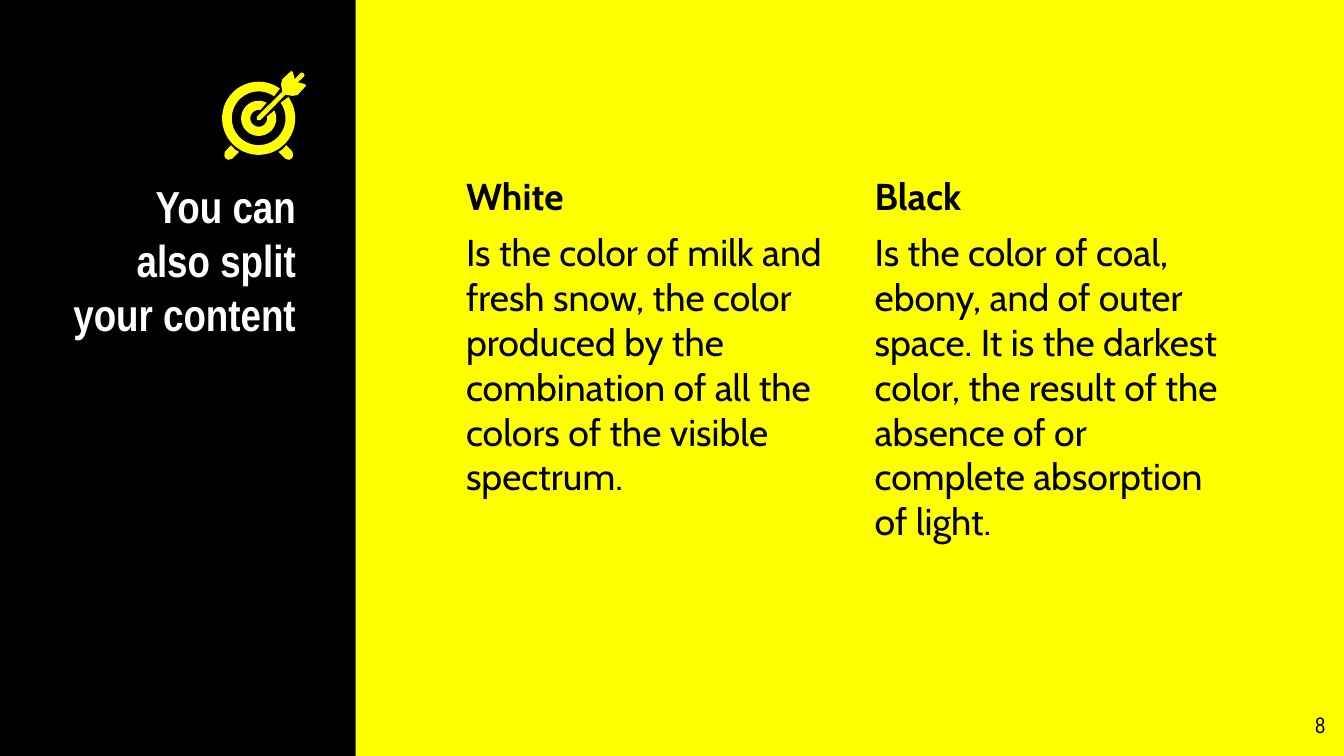
import math
from dataclasses import dataclass

import pptx
import pptx.dml.color
import pptx.enum.shapes
import pptx.enum.text
import pptx.shapes.autoshape
import pptx.slide
import pptx.text.text
import pptx.util

Pt = pptx.util.Pt
RGBColor = pptx.dml.color.RGBColor
Align = pptx.enum.text.PP_ALIGN
Point = tuple[float, float]

YELLOW = RGBColor(0xFF, 0xFF, 0x00)
BLACK = RGBColor(0x00, 0x00, 0x00)
WHITE = RGBColor(0xFF, 0xFF, 0xFF)

HEADING_FONT = "Arial Narrow"
BODY_FONT = "Cabin"
INSET = 7.2
TARGET_CENTER: Point = (138.6, 63.4)
ARROW_ANGLE = -45
ARC_STEPS = 48

LEFT_LEG: list[Point] = [
    (-14.8, 14.4), (-18.2, 18), (-18.4, 20.2), (-17.6, 21.6),
    (-16.2, 22.2), (-14.2, 21.6), (-10.6, 18), (-12.8, 16.6),
]
ARROW_HALF: list[Point] = [
    (24.1, -24.1), (22.9, -24.6), (22, -23.8), (19.3, -21), (18.4, -24.6),
    (17.6, -25.4), (17, -25), (12.6, -20.9), (12, -18.2), (12.7, -14.4),
    (-1, -0.8), (-0.9, 0.9),
]


@dataclass
class Ring:
    outer_radius: float
    inner_radius: float
    outer_gap: float
    inner_gap: float


@dataclass
class Column:
    left: float
    heading: str
    body: str


RINGS = [Ring(19.6, 14.4, 9.5, 10), Ring(9.4, 4.5, 18, 34)]
COLUMNS = [
    Column(242.6, "White",
           "Is the color of milk and fresh snow, the color produced by the "
           "combination of all the colors of the visible spectrum."),
    Column(461.5, "Black",
           "Is the color of coal, ebony, and of outer space. It is the darkest "
           "color, the result of the absence of or complete absorption of light."),
]


def paint(shape: pptx.shapes.autoshape.Shape, color: RGBColor) -> None:
    shape.fill.solid()
    shape.fill.fore_color.rgb = color
    shape.line.fill.background()
    shape.shadow.inherit = False


def arc(radius: float, gap: float) -> list[Point]:
    sweep = 360 - 2 * gap
    angles = [math.radians(ARROW_ANGLE + gap + sweep * step / ARC_STEPS)
              for step in range(ARC_STEPS + 1)]
    return [(radius * math.cos(angle), radius * math.sin(angle)) for angle in angles]


def ring_outline(ring: Ring) -> list[Point]:
    inner = arc(ring.inner_radius, ring.inner_gap)
    return arc(ring.outer_radius, ring.outer_gap) + inner[::-1]


def draw_outline(page: pptx.slide.Slide, outline: list[Point]) -> None:
    center_x, center_y = TARGET_CENTER
    points = [(Pt(center_x + x), Pt(center_y + y)) for x, y in outline]
    builder = page.shapes.build_freeform(*points[0])
    builder.add_line_segments(points[1:], close=True)
    paint(builder.convert_to_shape(), YELLOW)


def draw_target(page: pptx.slide.Slide) -> None:
    right_leg = [(-x, y) for x, y in LEFT_LEG]
    mirrored_half = [(-y, -x) for x, y in ARROW_HALF[-2:0:-1]]
    outlines = [ring_outline(ring) for ring in RINGS]
    outlines += [LEFT_LEG, right_leg, ARROW_HALF + mirrored_half]
    for outline in outlines:
        draw_outline(page, outline)


def prepare_frame(frame: pptx.text.text.TextFrame) -> None:
    frame.word_wrap = True
    frame.auto_size = pptx.enum.text.MSO_AUTO_SIZE.NONE
    frame.vertical_anchor = pptx.enum.text.MSO_ANCHOR.TOP
    frame.margin_left = frame.margin_right = Pt(INSET)
    frame.margin_top = frame.margin_bottom = Pt(INSET)


def style_paragraph(para: pptx.text.text._Paragraph, font: str, size: float,
                    color: RGBColor, bold: bool, align: Align) -> None:
    para.alignment = align
    for span in para.runs:
        span.font.name = font
        span.font.size = Pt(size)
        span.font.bold = bold
        span.font.color.rgb = color


def draw_column(page: pptx.slide.Slide, column: Column) -> None:
    box = page.shapes.add_textbox(Pt(column.left), Pt(85.7), Pt(206.6), Pt(301.7))
    frame = box.text_frame
    prepare_frame(frame)
    frame.text = f"{column.heading}\n{column.body}"
    for index, para in enumerate(frame.paragraphs):
        para.space_before = Pt(6)
        style_paragraph(para, BODY_FONT, 20, BLACK, index == 0, Align.LEFT)


def draw_title(page: pptx.slide.Slide) -> None:
    title = page.shapes.title
    title.left, title.top = Pt(31.7), Pt(88.6)
    title.width, title.height = Pt(134), Pt(116.6)
    prepare_frame(title.text_frame)
    title.text_frame.text = "You can also split your content"
    style_paragraph(title.text_frame.paragraphs[0], HEADING_FONT, 24, WHITE,
                    True, Align.RIGHT)


def draw_panel(page: pptx.slide.Slide) -> None:
    panel = page.shapes.add_shape(pptx.enum.shapes.MSO_SHAPE.RECTANGLE,
                                  Pt(0), Pt(0), Pt(190.6), Pt(405))
    paint(panel, BLACK)
    page.shapes.title.element.addprevious(panel.element)


def draw_page_number(page: pptx.slide.Slide) -> None:
    box = page.shapes.add_textbox(Pt(673.9), Pt(373.7), Pt(43.2), Pt(31))
    prepare_frame(box.text_frame)
    box.text_frame.text = "8"
    style_paragraph(box.text_frame.paragraphs[0], HEADING_FONT, 12, BLACK,
                    False, Align.RIGHT)


def main() -> None:
    deck = pptx.Presentation()
    deck.slide_width, deck.slide_height = Pt(720), Pt(405)
    page = deck.slides.add_slide(deck.slide_layouts.get_by_name("Title Only"))
    page.background.fill.solid()
    page.background.fill.fore_color.rgb = YELLOW
    draw_panel(page)
    draw_title(page)
    for column in COLUMNS:
        draw_column(page, column)
    draw_target(page)
    draw_page_number(page)
    deck.save("out.pptx")


if __name__ == "__main__":
    main()
